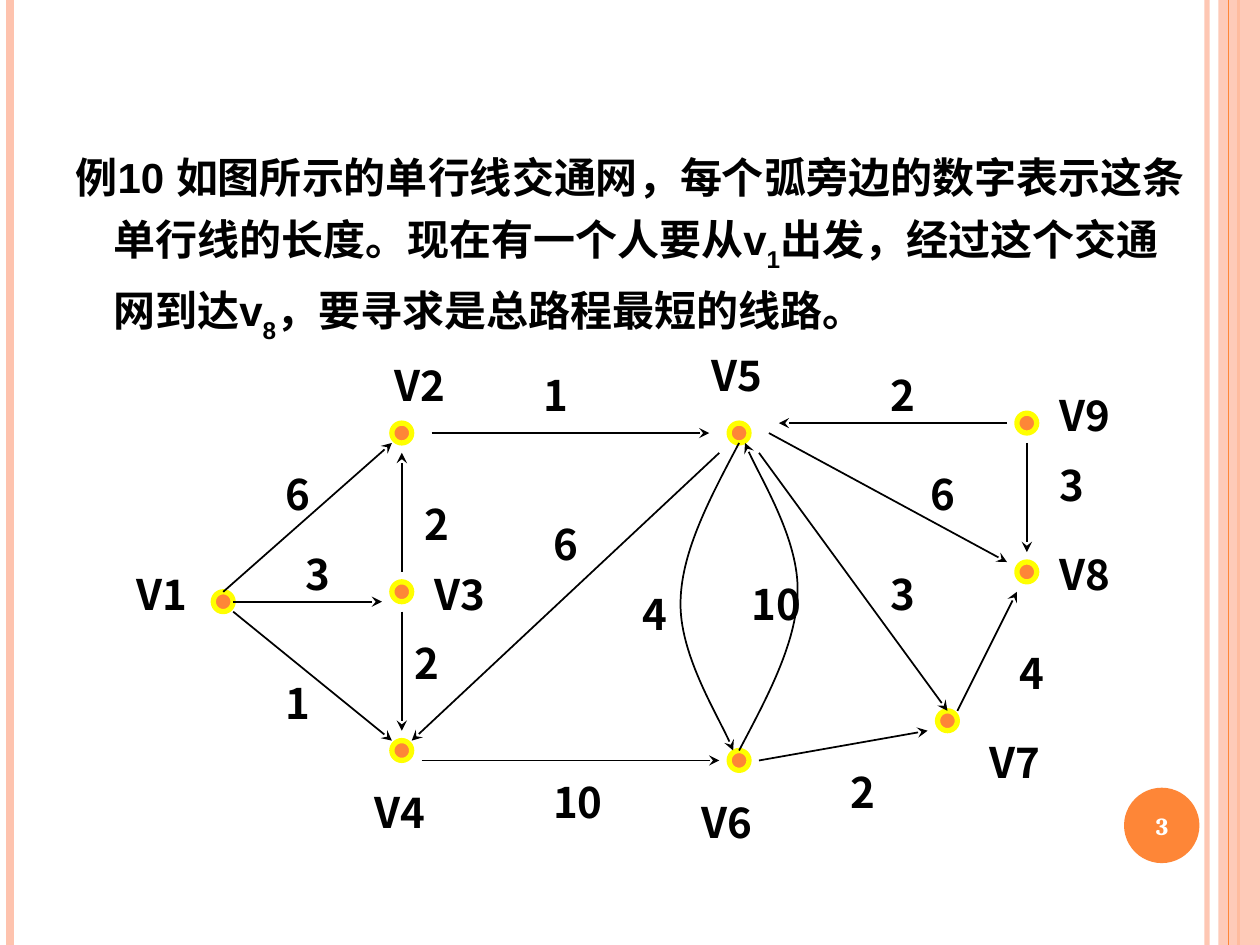
from lxml import etree
from pptx import Presentation
from pptx.dml.color import RGBColor
from pptx.enum import shapes, text
from pptx.oxml import ns
from pptx.util import Cm, Pt

ORANGE = RGBColor(0xFE, 0x86, 0x37)
PEACH = RGBColor(0xFE, 0xC3, 0xAE)
YELLOW = RGBColor(0xFF, 0xFF, 0x00)
BLACK = RGBColor(0x00, 0x00, 0x00)
WHITE = RGBColor(0xFF, 0xFF, 0xFF)
CJK_FONT = "Noto Sans CJK SC"
PAGE_W, PAGE_H = 25.4, 19.05
NODE_SIZE = 0.4
LABEL_H = 1.27

# Centre and label corner of each node, in cm from the corner of the network
NODES = {
    "V1": ((2, 5.2), (0, 4.4)),
    "V2": ((5.6, 1.8), (5.2, 0.2)),
    "V3": ((5.6, 5), (6, 4.4)),
    "V4": ((5.6, 8.2), (4.8, 8.8)),
    "V6": ((12.4, 8.4), (11.4, 9)),
    "V5": ((12.4, 1.8), (11.6, 0)),
    "V9": ((18.2, 1.6), (18.6, 0.8)),
    "V8": ((18.2, 4.6), (18.6, 4)),
    "V7": ((16.6, 7.6), (17.2, 7.8)),
}
# Start, end, length and label corner of each straight arc
ARCS = [
    ((2, 5), (5.4, 2), "6", (3, 2.4)),
    ((2.2, 5.2), (5.2, 5.2), "3", (3.4, 4)),
    ((2.2, 5.4), (5.4, 8), "1", (3, 6.6)),
    ((5.6, 4.6), (5.6, 2.2), "2", (5.8, 3)),
    ((5.6, 5.4), (5.6, 7.8), "2", (5.6, 5.8)),
    ((6.2, 1.8), (11.8, 1.8), "1", (8.2, 0.4)),
    ((12, 2.2), (5.8, 8), "6", (8.4, 3.4)),
    ((6, 8.4), (12, 8.4), "10", (8.4, 8.6)),
    ((12.8, 8.4), (16.2, 7.8), "2", (14.4, 8.4)),
    ((16.8, 7.4), (18, 5), "4", (17.8, 6)),
    ((12.8, 2.2), (16.6, 7.4), "3", (15.2, 4.4)),
    ((13, 1.8), (17.8, 4.4), "6", (16, 2.4)),
    ((17.8, 1.6), (13.2, 1.6), "2", (15.2, 0.4)),
    ((18.2, 2), (18.2, 4.2), "3", (18.6, 2.2)),
]
# Bezier points of the arc from V5 to V6; the way back is its half turn
CURVE_DOWN = [(12.4, 2), (11.83, 3.08), (11.24, 4.17), (11.22, 5.19),
              (11.19, 6.23), (12.1, 7.7), (12.28, 8.2)]
CURVE_UP = [(24.8 - x, 10.2 - y) for x, y in CURVE_DOWN]
CURVES = [(CURVE_DOWN, "4", (10.2, 4.8)), (CURVE_UP, "10", (12.4, 4.6))]

PROBLEM = [
    ("例10 如图所示的单行线交通网，每个弧旁边的数字表示这条单行线的长度。现在有一个人要从v", False),
    ("1", True),
    ("出发，经过这个交通网到达v", False),
    ("8", True),
    ("，要寻求是总路程最短的线路。", False),
]


def set_alpha(shape, percent):
    color = next(shape._element.spPr.iter(ns.qn("a:srgbClr")))
    etree.SubElement(color, ns.qn("a:alpha"), val=str(percent * 1000))


def add_arrowhead(line_owner):
    outline = line_owner.line._get_or_add_ln()
    etree.SubElement(outline, ns.qn("a:tailEnd"), type="stealth")


def add_line(parent, start, end, color, width):
    line = parent.shapes.add_connector(
        shapes.MSO_CONNECTOR.STRAIGHT, *map(Cm, (*start, *end)))
    line.line.color.rgb = color
    line.line.width = Pt(width)
    etree.SubElement(line._element.spPr, ns.qn("a:effectLst"))
    return line


def add_filled(parent, kind, box, color):
    shape = parent.shapes.add_shape(kind, *map(Cm, box))
    shape.shadow.inherit = False
    shape.fill.solid()
    shape.fill.fore_color.rgb = color
    shape.line.fill.background()
    return shape


def add_text(parent, box, words, size, font, color):
    label = parent.shapes.add_textbox(*map(Cm, box))
    label.text_frame.word_wrap = True
    para = label.text_frame.paragraphs[0]
    span = para.add_run()
    span.text = words
    span.font.size = Pt(size)
    span.font.name = font
    span.font.bold = True
    span.font.color.rgb = color
    return label


def add_curve(parent, points):
    """Draw an arrow along joined cubic Bezier segments."""
    first, *rest = [(Cm(x), Cm(y)) for x, y in points]
    builder = parent.shapes.build_freeform(*first)
    builder.add_line_segments(rest, close=False)
    curve = builder.convert_to_shape()
    curve.shadow.inherit = False
    curve.fill.background()
    curve.line.color.rgb = BLACK
    curve.line.width = Pt(1)
    add_arrowhead(curve)
    steps = list(curve._element.spPr.iter(ns.qn("a:lnTo")))
    for i in range(0, len(steps), 3):
        bezier = etree.SubElement(steps[i].getparent(), ns.qn("a:cubicBezTo"))
        for step in steps[i:i + 3]:
            bezier.append(step[0])
            step.getparent().remove(step)


def add_side_bars(page):
    for x, color, width, alpha in [(24.33, PEACH, 3, 93), (0.2, PEACH, 4.5, 100),
                                   (24.97, ORANGE, 1.5, 100)]:
        bar = add_line(page, (x, 0), (x, PAGE_H), color, width)
        if alpha < 100:
            set_alpha(bar, alpha)
    band = add_filled(page, shapes.MSO_SHAPE.RECTANGLE,
                      (24.56, 0, PAGE_W - 24.56, PAGE_H), PEACH)
    set_alpha(band, 87)
    add_line(page, (24.77, 0), (24.77, PAGE_H), ORANGE, 0.75)


def add_page_number(page, left, top, number):
    add_filled(page, shapes.MSO_SHAPE.OVAL, (left, top, 1.52, 1.52), ORANGE)
    label = add_text(page, (left - 0.08, top + 0.05, 1.7, 1.45),
                     number, 14, "Cambria", WHITE)
    label.text_frame.vertical_anchor = text.MSO_ANCHOR.MIDDLE
    label.text_frame.paragraphs[0].alignment = text.PP_ALIGN.CENTER


def fill_problem(body, left, top, width, height):
    body.left, body.top, body.width, body.height = map(Cm, (left, top, width, height))
    para = body.text_frame.paragraphs[0]
    layout = para._p.get_or_add_pPr()
    layout.set("marL", str(Cm(0.76)))
    layout.set("indent", str(-Cm(0.76)))
    etree.SubElement(layout, ns.qn("a:buNone"))
    para.line_spacing = 1.2
    para.space_before = Pt(0)
    for words, is_subscript in PROBLEM:
        span = para.add_run()
        span.text = words
        span.font.size = Pt(24)
        span.font.bold = True
        span.font.color.rgb = BLACK
        span.font.name = "Arial"
        props = span._r.get_or_add_rPr()
        etree.SubElement(props, ns.qn("a:ea"), typeface=CJK_FONT)
        if is_subscript:
            props.set("baseline", "-30000")


def add_network(page, left, top):
    network = page.shapes.add_group_shape()

    def place(point):
        return left + point[0], top + point[1]

    def add_label(words, corner, width):
        add_text(network, (*place(corner), width, LABEL_H), words, 24, CJK_FONT, BLACK)

    for center, _ in NODES.values():
        x, y = place(center)
        node = add_filled(network, shapes.MSO_SHAPE.OVAL,
                          (x - NODE_SIZE / 2, y - NODE_SIZE / 2, NODE_SIZE, NODE_SIZE), ORANGE)
        node.line.color.rgb = YELLOW
        node.line.width = Pt(3)
    for start, end, _, _ in ARCS:
        add_arrowhead(add_line(network, place(start), place(end), BLACK, 1))
    for points, _, _ in CURVES:
        add_curve(network, [place(point) for point in points])
    for name, (_, corner) in NODES.items():
        add_label(name, corner, 1.8)
    for *_, length, corner in ARCS + CURVES:
        add_label(length, corner, 1.2 if len(length) == 1 else 1.6)


def main():
    deck = Presentation()
    deck.slide_width, deck.slide_height = Cm(PAGE_W), Cm(PAGE_H)
    page = deck.slides.add_slide(deck.slide_layouts[1])
    title = page.shapes.title._element
    title.getparent().remove(title)
    add_side_bars(page)
    fill_problem(page.placeholders[1], 1.27, 2.72, 22.86, 13.3)
    add_network(page, 2.5, 6.93)
    add_page_number(page, 22.66, 15.88, "3")
    deck.save("out.pptx")


if __name__ == "__main__":
    main()
